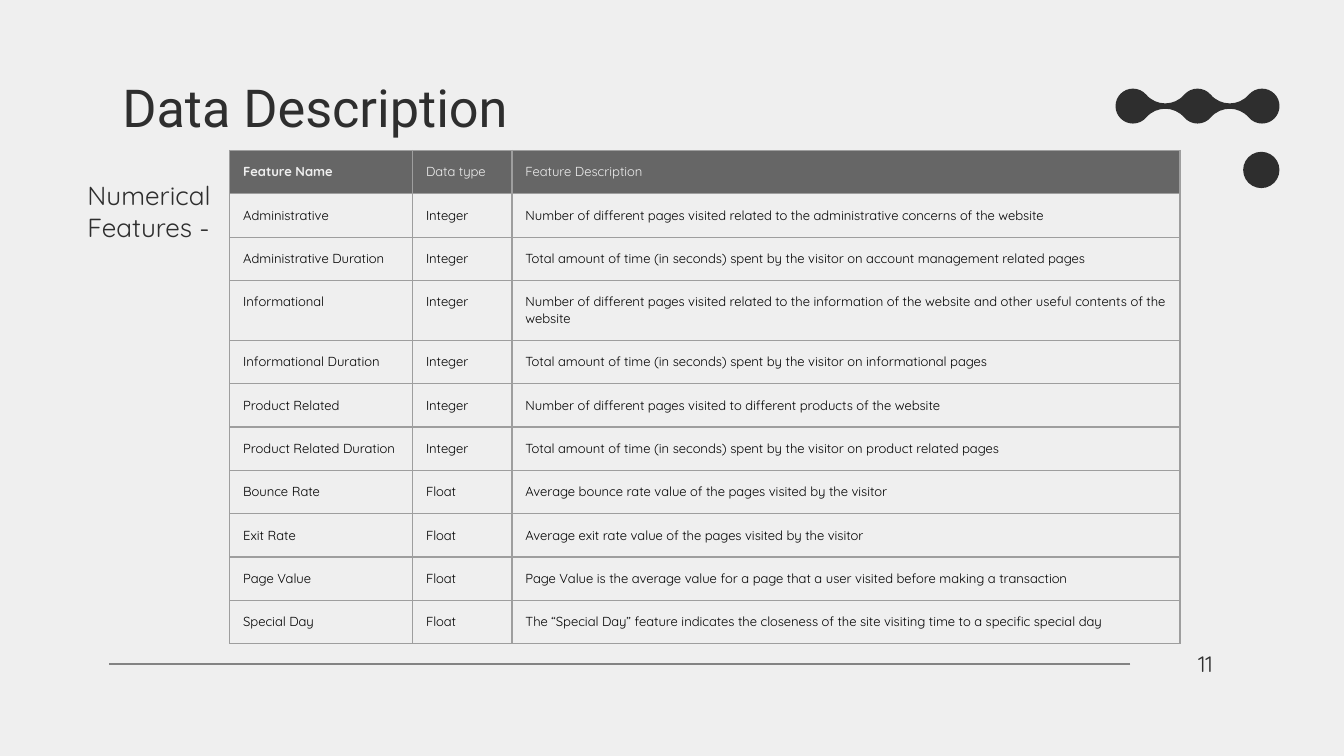
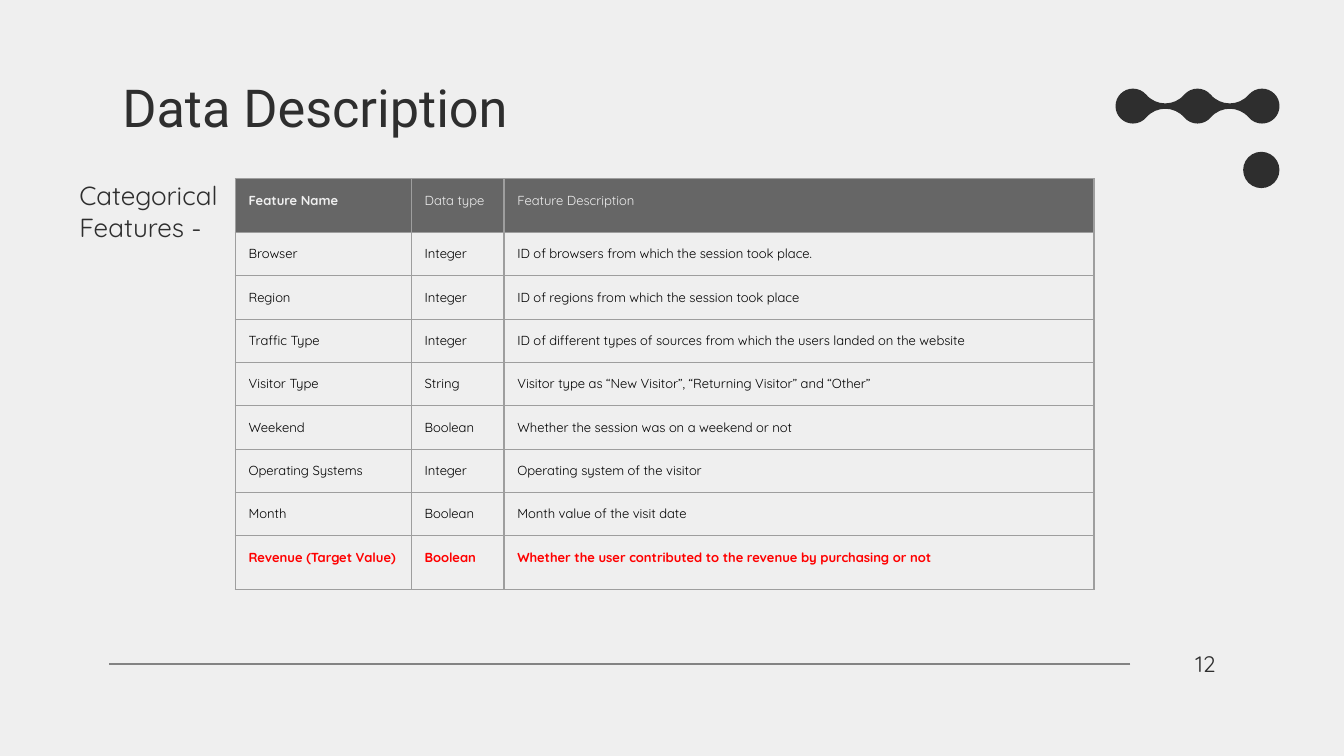
import math

from lxml import etree
from pptx import Presentation
from pptx import util as u
from pptx.dml.color import RGBColor
from pptx.enum import shapes, text
from pptx.oxml import ns

PAPER = RGBColor(0xEF, 0xEF, 0xEF)
INK = RGBColor(0x2E, 0x2E, 0x2E)
RULE = RGBColor(0x83, 0x83, 0x83)
HEADER = RGBColor(0x66, 0x66, 0x66)
GRID = RGBColor(0x9E, 0x9E, 0x9E)
BLACK = RGBColor(0, 0, 0)
RED = RGBColor(0xFF, 0, 0)

COLUMNS = ("Feature Name", "Data type", "Feature Description")
NUMERICAL = [
    ("Administrative", "Integer",
     "Number of different pages visited related to the administrative concerns of the website"),
    ("Administrative Duration", "Integer",
     "Total amount of time (in seconds) spent by the visitor on account management related pages"),
    ("Informational", "Integer",
     "Number of different pages visited related to the information of the website"
     " and other useful contents of the website"),
    ("Informational Duration", "Integer",
     "Total amount of time (in seconds) spent by the visitor on informational pages"),
    ("Product Related", "Integer",
     "Number of different pages visited to different products of the website"),
    ("Product Related Duration", "Integer",
     "Total amount of time (in seconds) spent by the visitor on product related pages"),
    ("Bounce Rate", "Float", "Average bounce rate value of the pages visited by the visitor"),
    ("Exit Rate", "Float", "Average exit rate value of the pages visited by the visitor"),
    ("Page Value", "Float",
     "Page Value is the average value for a page that a user visited before making a transaction"),
    ("Special Day", "Float",
     "The “Special Day” feature indicates the closeness of the site visiting time"
     " to a specific special day"),
]
CATEGORICAL = [
    ("Browser", "Integer", "ID of browsers from which the session took place."),
    ("Region", "Integer", "ID of regions from which the session took place"),
    ("Traffic Type", "Integer",
     "ID of different types of sources from which the users landed on the website"),
    ("Visitor Type", "String", "Visitor type as “New Visitor”, “Returning Visitor” and “Other”"),
    ("Weekend", "Boolean", "Whether the session was on a weekend or not"),
    ("Operating Systems", "Integer", "Operating system of the visitor"),
    ("Month", "Boolean", "Month value of the visit date"),
    ("Revenue (Target Value)", "Boolean",
     "Whether the user contributed to the revenue by purchasing or not"),
]
TARGET = "Revenue (Target Value)"

# number, label, label left and width, table left and top, column widths, row heights, rows
PAGES = [
    (11, "Numerical Features -", 0.55, 1.2, 1.71, 1.12, (1.36, 0.74, 4.97),
     [0.32] * 3 + [0.44] + [0.32] * 7, NUMERICAL),
    (12, "Categorical Features -", 0.49, 1.26, 1.75, 1.33, (1.31, 0.69, 4.39),
     [0.4] + [0.32] * 7 + [0.4], CATEGORICAL),
]


def write(sp, box, words, size, font, align=text.PP_ALIGN.LEFT):
    """Place a text shape and fill it with one vertically centred paragraph."""
    sp.left, sp.top, sp.width, sp.height = map(u.Inches, box)
    tf = sp.text_frame
    tf.word_wrap = True
    tf.auto_size = text.MSO_AUTO_SIZE.NONE
    tf.vertical_anchor = text.MSO_ANCHOR.MIDDLE
    tf.margin_left = tf.margin_right = tf.margin_top = tf.margin_bottom = u.Inches(0.1)
    p = tf.paragraphs[0]
    p.text = words
    p.alignment = align
    p.space_before = u.Pt(0)
    p.font.size, p.font.name = u.Pt(size), font
    p.font.color.rgb = INK


def format_cell(cell, words, color, bold, fill):
    cell.margin_left = cell.margin_right = cell.margin_top = cell.margin_bottom = u.Inches(0.1)
    p = cell.text_frame.paragraphs[0]
    p.text = words
    p.font.size, p.font.name, p.font.bold = u.Pt(7), "Quicksand", bold
    p.font.color.rgb = color
    tc_pr = cell._tc.get_or_add_tcPr()
    for side in ("a:lnL", "a:lnR", "a:lnT", "a:lnB"):
        ln = etree.SubElement(tc_pr, ns.qn(side), w=str(u.Pt(0.75)))
        solid = etree.SubElement(ln, ns.qn("a:solidFill"))
        etree.SubElement(solid, ns.qn("a:srgbClr"), val=str(GRID))
    if fill:
        cell.fill.solid()
        cell.fill.fore_color.rgb = fill
    else:
        cell.fill.background()


prs = Presentation()
prs.slide_width, prs.slide_height = u.Inches(10), u.Inches(5.625)
layout = prs.slide_layouts[0]
layout.background.fill.solid()
layout.background.fill.fore_color.rgb = PAPER
slides = [prs.slides.add_slide(layout) for _ in PAGES]

# Shared decoration, drawn on the first slide and then moved to the layout
s = slides[0]
line = s.shapes.add_connector(shapes.MSO_CONNECTOR.STRAIGHT, u.Inches(8.41), u.Inches(4.94),
                              u.Inches(0.81), u.Inches(4.94))
line.line.color.rgb = RULE
line.line.width = u.Pt(0.75)
etree.SubElement(line._element.spPr, ns.qn("a:effectLst"))

dot = s.shapes.add_shape(shapes.MSO_SHAPE.OVAL, u.Inches(9.25), u.Inches(1.13),
                         u.Inches(0.27), u.Inches(0.27))

# Chain of three balls, joined by necks that are arcs tangent to the balls
radius, gap, neck = 0.13, 0.24, 0.02
mid_x, mid_y = 8.91, 0.79
bend = (gap ** 2 + neck ** 2 - radius ** 2) / (2 * (radius - neck))
rise = neck + bend
lean = math.degrees(math.atan2(rise, gap))
# centre x and y (upwards) from the middle ball, radius, angles where curves meet
ARCS = [
    (-2 * gap, 0, radius, (360 - lean, 270, 180, 90, lean)),
    (-gap, rise, bend, (180 + lean, 360 - lean)),
    (0, 0, radius, (180 - lean, 90, lean)),
    (gap, rise, bend, (180 + lean, 360 - lean)),
    (2 * gap, 0, radius, (180 - lean, 90, 0, -90, lean - 180)),
    (gap, -rise, bend, (lean, 180 - lean)),
    (0, 0, radius, (-lean, -90, lean - 180)),
    (-gap, -rise, bend, (lean, 180 - lean)),
]
points = []
for cx, cy, r, angles in ARCS:
    for a, b in zip(angles, angles[1:]):
        a, b = math.radians(a), math.radians(b)
        k = 4 / 3 * math.tan((b - a) / 4)
        for x, y in ((math.cos(a), math.sin(a)),
                     (math.cos(a) - k * math.sin(a), math.sin(a) + k * math.cos(a)),
                     (math.cos(b) + k * math.sin(b), math.sin(b) - k * math.cos(b))):
            points.append((u.Inches(mid_x + cx + r * x), u.Inches(mid_y - cy - r * y)))
builder = s.shapes.build_freeform(*points[0])
builder.add_line_segments(points[1:] + points[:1], close=True)
chain = builder.convert_to_shape()

# Every three points become the controls and the end of one curve
segments = list(chain._element.iter(ns.qn("a:lnTo")))
for i in range(0, len(segments), 3):
    curve = etree.Element(ns.qn("a:cubicBezTo"))
    segments[i].addprevious(curve)
    for segment in segments[i:i + 3]:
        curve.append(segment[0])
        segment.getparent().remove(segment)

for sp in (dot, chain):
    sp.shadow.inherit = False
    sp.fill.solid()
    sp.fill.fore_color.rgb = INK
    sp.line.fill.background()
for sp in (line, dot, chain):
    layout.shapes.element.append(sp.element)

for s, page in zip(slides, PAGES):
    number, label, label_x, label_w, left, top, widths, heights, features = page
    write(s.shapes.title, (0.81, 0.58, 7.17, 0.42), "Data Description", 28, "Roboto")
    write(s.shapes.add_textbox(0, 0, 0, 0), (8.75, 4.83, 0.44, 0.21), str(number), 12,
          "Quicksand", text.PP_ALIGN.CENTER)

    frame = s.shapes.add_table(len(heights), len(widths), u.Inches(left), u.Inches(top),
                               u.Inches(sum(widths)), u.Inches(sum(heights)))
    table = frame.table
    table.first_row = table.horz_banding = False
    for column, width in zip(table.columns, widths):
        column.width = u.Inches(width)
    for row, height in zip(table.rows, heights):
        row.height = u.Inches(height)
    for c, words in enumerate(COLUMNS):
        format_cell(table.cell(0, c), words, PAPER, c == 0, HEADER)
    for r, feature in enumerate(features, 1):
        is_target = feature[0] == TARGET
        for c, words in enumerate(feature):
            format_cell(table.cell(r, c), words, RED if is_target else BLACK, is_target, None)

    write(s.placeholders[1], (label_x, 1.33, label_w, 0.48), label, 14, "Quicksand")

prs.save("out.pptx")
